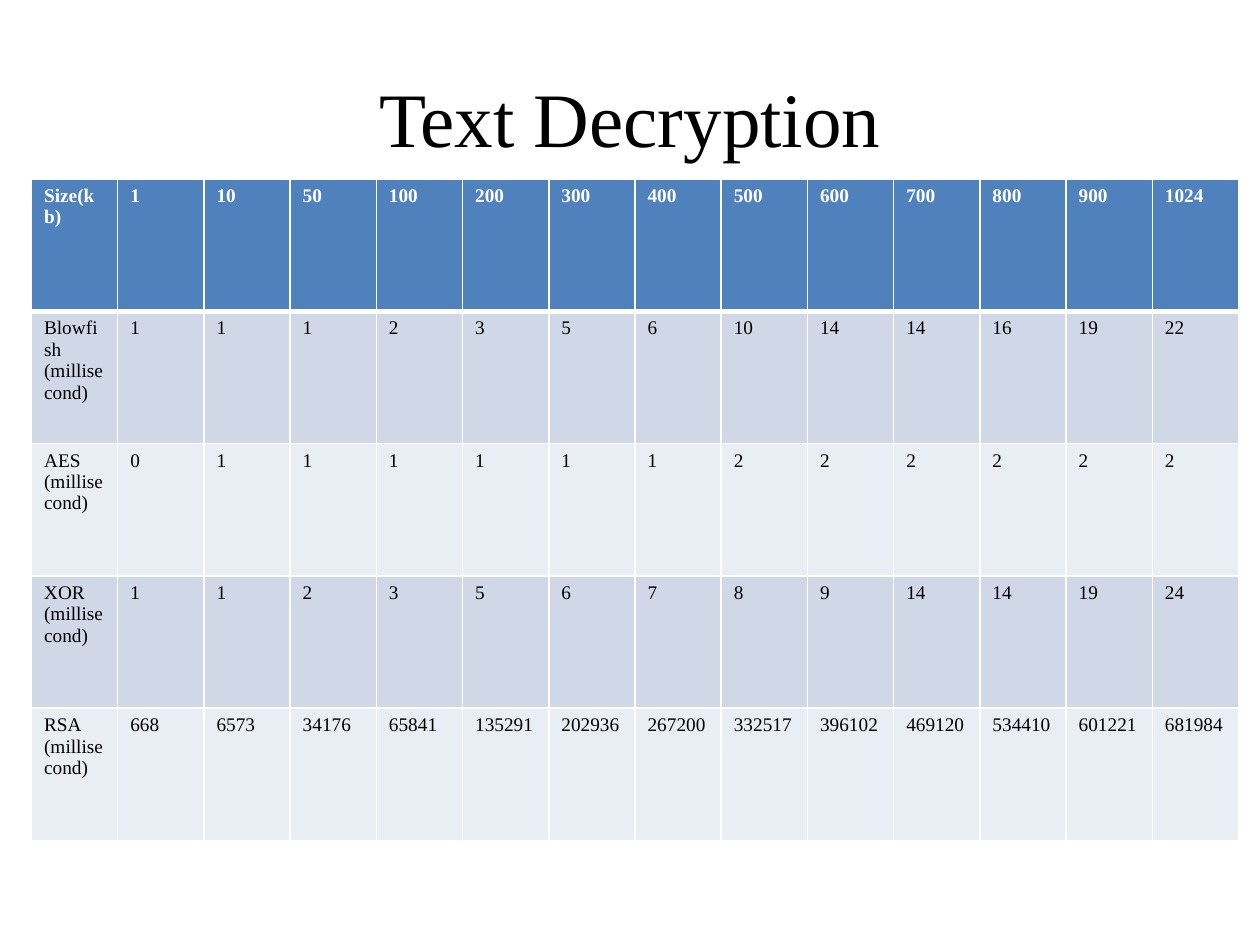
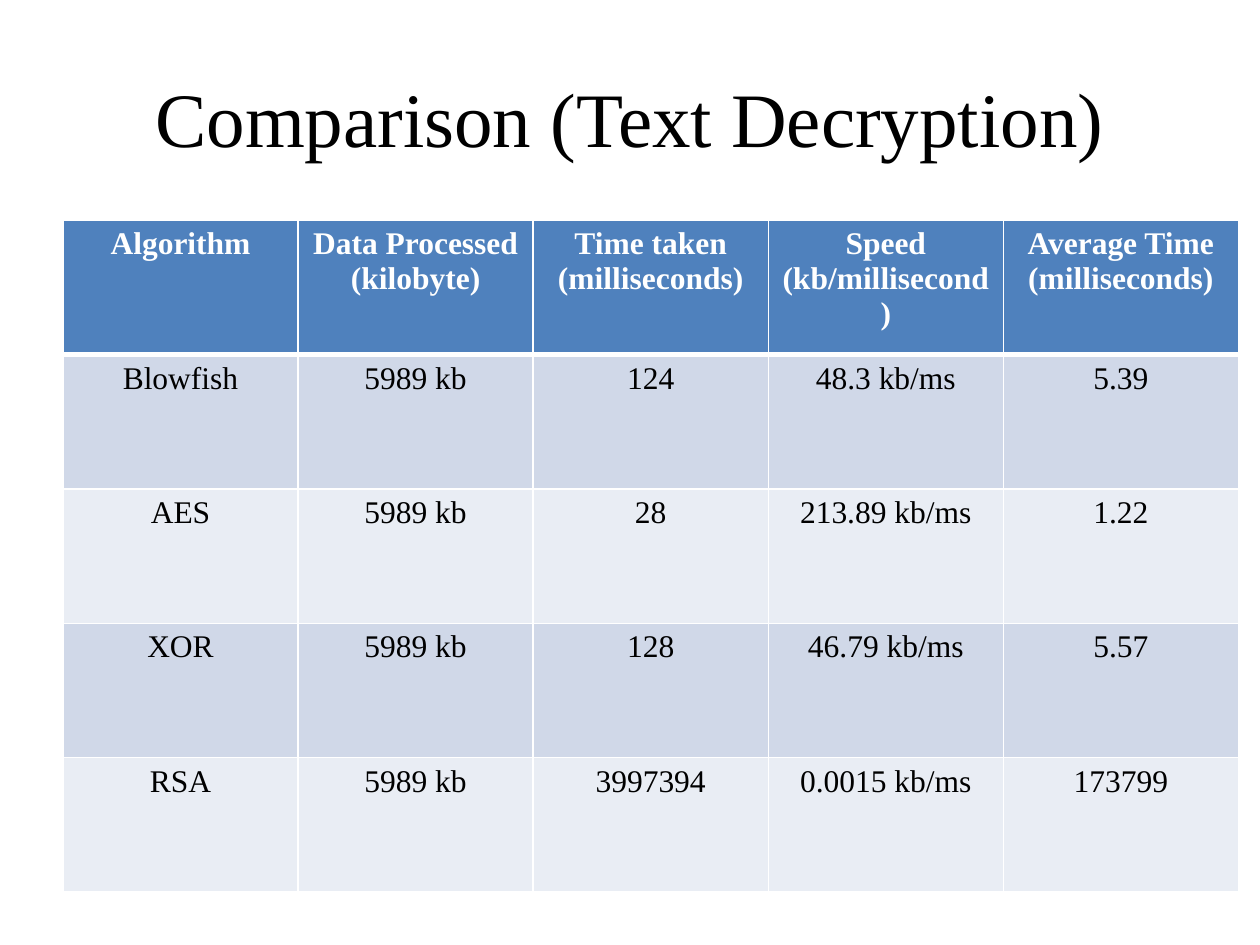
from lxml.etree import SubElement
from pptx import Presentation
from pptx.dml.color import RGBColor
from pptx.enum.text import MSO_ANCHOR, PP_ALIGN
from pptx.oxml.ns import qn
from pptx.util import Inches, Pt

COLORS = {"head": "4F81BD", "odd": "D0D8E8", "even": "E9EDF4",
          "light": "FFFFFF", "dark": "000000"}
FACE = "Times New Roman"
TITLE = {"name": FACE, "size": Pt(44)}
FRAME = {"word_wrap": True, "vertical_anchor": MSO_ANCHOR.MIDDLE}

SIZES = [1, 10, 50, *range(100, 1000, 100), 1024]
TIMES = {
    "Blowfish": [1, 1, 1, 2, 3, 5, 6, 10, 14, 14, 16, 19, 22],
    "AES": [0, 1, 1, 1, 1, 1, 1, 2, 2, 2, 2, 2, 2],
    "XOR": [1, 1, 2, 3, 5, 6, 7, 8, 9, 14, 14, 19, 24],
    "RSA": [668, 6573, 34176, 65841, 135291, 202936, 267200,
            332517, 396102, 469120, 534410, 601221, 681984],
}
SPEEDS = [
    ["Algorithm", "Data Processed (kilobyte)", "Time taken (milliseconds)",
     "Speed (kb/millisecond)", "Average Time (milliseconds)"],
    ["Blowfish", "5989 kb", "124", "48.3 kb/ms", "5.39"],
    ["AES", "5989 kb", "28", "213.89 kb/ms", "1.22"],
    ["XOR", "5989 kb", "128", "46.79 kb/ms", "5.57"],
    ["RSA", "5989 kb", "3997394", "0.0015 kb/ms", "173799"],
]
SLIDES = [
    {"title": "Text Decryption", "box": (0.25, 1.42, 9.58, 5.25),
     "size": 11, "align": PP_ALIGN.LEFT,
     "rows": [["Size(kb)", *SIZES]]
     + [[f"{name}\n(millisecond)", *times] for name, times in TIMES.items()]},
    {"title": "Comparison (Text Decryption)", "box": (0.5, 1.75, 9.33, 5.33),
     "size": 18, "align": PP_ALIGN.CENTER, "rows": SPEEDS},
]


def style(text, align, color, form):
    for para in text.paragraphs:
        para.alignment = align
        for run in para.runs:
            run.font.color.rgb = RGBColor.from_string(COLORS[color])
            for key, value in form.items():
                setattr(run.font, key, value)


def border(cell, widths):
    props = cell._tc.get_or_add_tcPr()
    for side, width in widths.items():
        line = SubElement(props, qn(f"a:ln{side}"), w=str(Pt(width)))
        fill = SubElement(line, qn("a:solidFill"))
        SubElement(fill, qn("a:srgbClr"), val=COLORS["light"])


deck = Presentation()
deck.slide_width, deck.slide_height = Inches(10), Inches(7.5)

for page in SLIDES:
    slide = deck.slides.add_slide(deck.slide_layouts[6])
    place = [Inches(v) for v in (0.5, 0.3, 9, 1.25)]
    text = slide.shapes.add_textbox(*place).text_frame
    for key, value in FRAME.items():
        setattr(text, key, value)
    text.text = page["title"]
    style(text, PP_ALIGN.CENTER, "dark", TITLE)

    rows = page["rows"]
    place = [Inches(v) for v in page["box"]]
    table = slide.shapes.add_table(len(rows), len(rows[0]), *place).table
    for r, row in enumerate(rows):
        head = r == 0
        band = "head" if head else "odd" if r % 2 else "even"
        form = {"name": FACE, "size": Pt(page["size"]), "bold": head}
        edges = {"L": 1, "R": 1, "T": 3 if r == 1 else 1, "B": 3 if head else 1}
        for c, value in enumerate(row):
            cell = table.cell(r, c)
            cell.text = str(value)
            style(cell.text_frame, page["align"], "light" if head else "dark", form)
            border(cell, edges)
            cell.fill.solid()
            cell.fill.fore_color.rgb = RGBColor.from_string(COLORS[band])

deck.save("out.pptx")
